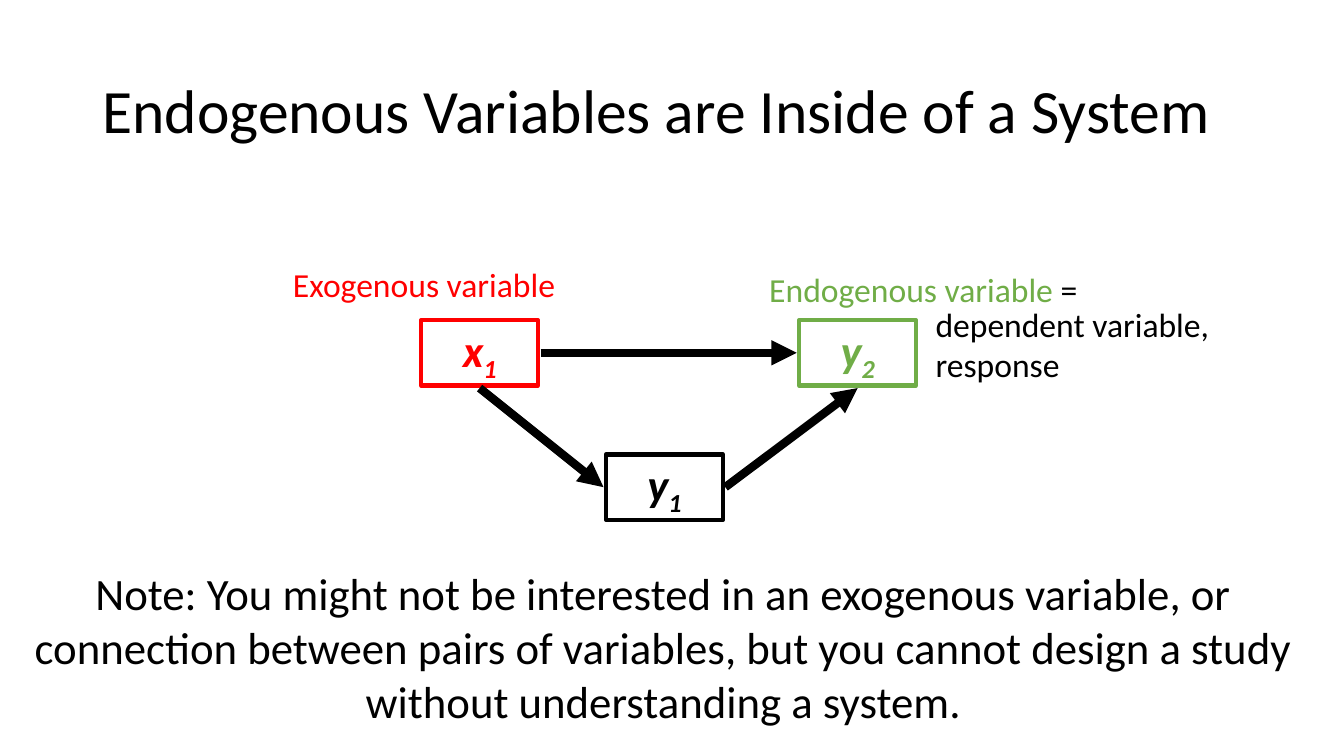
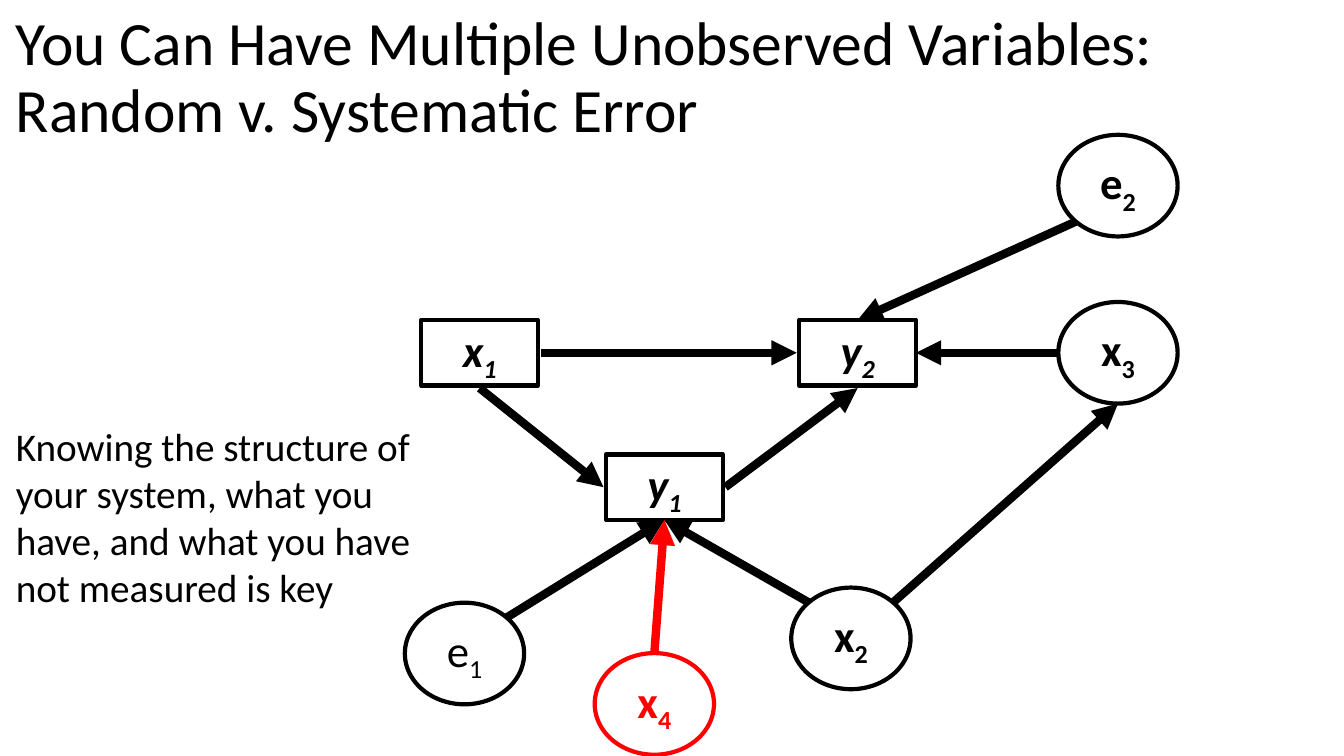
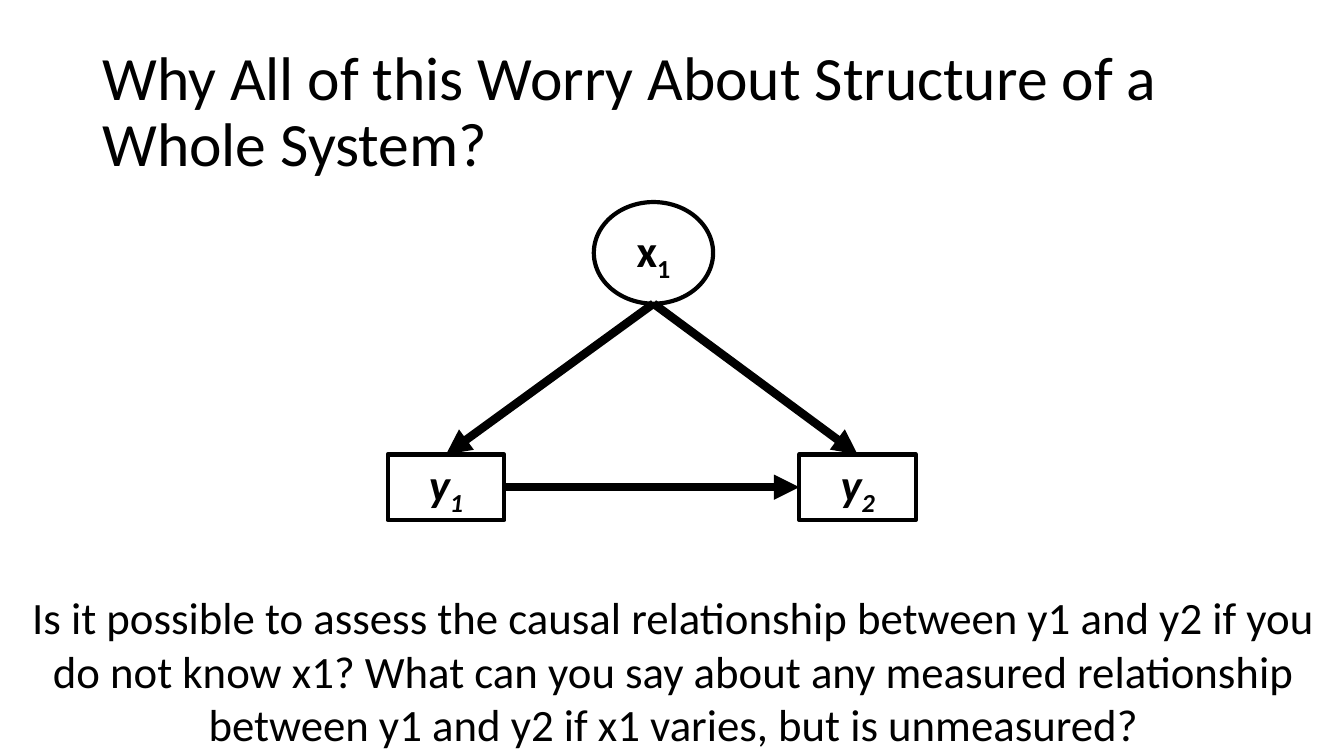
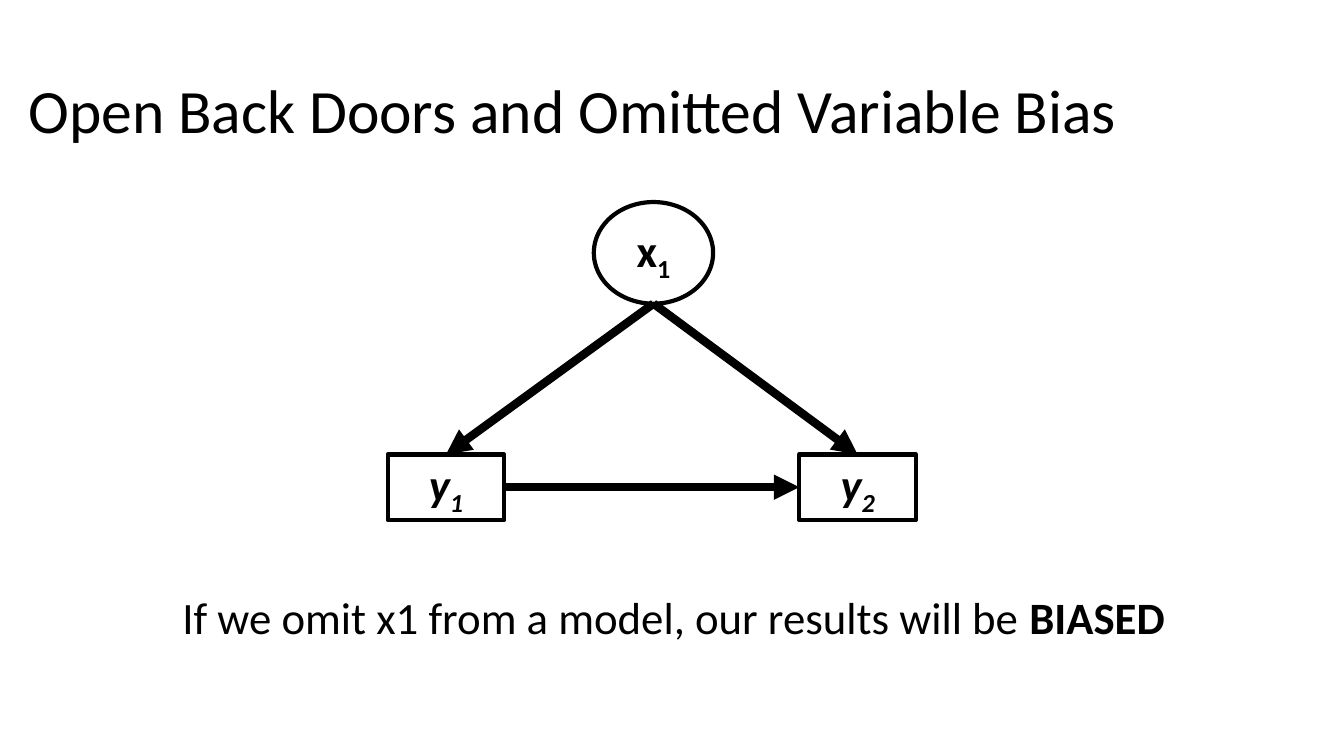
from dataclasses import dataclass

from lxml.etree import SubElement
from pptx import Presentation
from pptx.dml.color import RGBColor
from pptx.enum.shapes import MSO_CONNECTOR, MSO_SHAPE
from pptx.enum.text import MSO_ANCHOR, PP_ALIGN
from pptx.oxml.ns import qn
from pptx.util import Inches, Pt


@dataclass(frozen=True)
class Theme:
    font: str = "Calibri"
    ink: str = "000000"
    paper: str = "FFFFFF"
    red: str = "FF0000"
    green: str = "70AD47"
    title: int = 44
    body: int = 32
    side: int = 28
    label: int = 24
    edge: int = 3
    arrow: int = 6


T = Theme()

# Grid: 160 columns by 90 rows; boxes are left, top, width, height
WIDE, HIGH = 13.333, 7.5
COLS, ROWS = 160, 90
KINDS = {  # preset shape, width, height, italic
    "box": (MSO_SHAPE.RECTANGLE, 13.9, 7.8, True),
    "oval": (MSO_SHAPE.OVAL, 14.2, 12.1, False),
}
DIAG = 0.354  # where a diagonal meets an oval, as a share of its size
PORTS = {
    "left": (-0.5, 0), "right": (0.5, 0), "top": (0, -0.5), "foot": (0, 0.5),
    "nw": (-DIAG, -DIAG), "ne": (DIAG, -DIAG), "sw": (-DIAG, DIAG),
}
HEAD = (11, 4.8, 138, 17.4)
FOOT = (0.4, 69.6, 159.6, 20.4)

# Content: nodes are name -> kind, letter, index, centre column, centre row
PATH = {
    "x1": ("box", "x", "1", 57.1, 42),
    "y1": ("box", "y", "1", 79.1, 58),
    "y2": ("box", "y", "2", 102.1, 42),
}
HIDDEN = {
    "x3": ("oval", "x", "3", 133.1, 42),
    "x2": ("oval", "x", "2", 101.3, 76),
    "e2": ("oval", "e", "2", 133.1, 22.1),
    "e1": ("oval", "e", "1", 55.3, 77.8),
    "x4": ("oval", "x", "4", 77.9, 83.8),
}
FORK = {
    "y1": ("box", "y", "1", 53.1, 58),
    "y2": ("box", "y", "2", 102.1, 58),
    "x1": ("oval", "x", "1", 77.8, 30.1),
}

# Arrows: from node, port, to node, port, gap
PATH_LINKS = [
    ("x1", "foot", "y1", "left", 0.3),
    ("y1", "right", "y2", "foot", 0.3),
    ("x1", "right", "y2", "left", 0.3),
]
HIDDEN_LINKS = [
    ("x3", "left", "y2", "right", 0),
    ("x2", "nw", "y1", "foot", 0),
    ("x2", "ne", "x3", "foot", 0),
    ("e2", "sw", "y2", "top", 0),
    ("e1", "ne", "y1", "foot", 0),
    ("x4", "top", "y1", "foot", 0),
]
FORK_LINKS = [
    ("x1", "foot", "y1", "top", 0),
    ("y1", "right", "y2", "left", 0),
    ("x1", "foot", "y2", "top", 0),
]

# Texts: box, size, centred, paragraphs of (words, format) runs
SLIDES = [
    {
        "title": ("Endogenous Variables are Inside of a System", HEAD),
        "nodes": PATH, "links": PATH_LINKS,
        "tints": {"x1": T.red, "y2": T.green},
        "texts": [
            ((90.4, 31.4, 44.4, 6), T.label, False,
             [[("Endogenous variable ", {"color": T.green}), ("=", {})]]),
            ((33.7, 30.8, 37.9, 6), T.label, False,
             [[("Exogenous variable", {"color": T.red})]]),
            ((110.2, 35.6, 39, 10.9), T.label, False,
             [[("dependent variable,", {})], [("response", {})]]),
            ((0, 66.8, 158, 20.6), T.body, True,
             [[("Note: You might not be interested in an exogenous variable, "
                "or connection between pairs of variables, but you cannot "
                "design a study without understanding a system.", {})]]),
        ],
    },
    {
        "title": ("You Can Have Multiple Unobserved Variables: "
                  "Random v. Systematic Error", (0.7, 0.7, 148.2, 17.4)),
        "nodes": PATH | HIDDEN, "links": PATH_LINKS + HIDDEN_LINKS,
        "tints": {"x4": T.red}, "light": {"e1"},
        "texts": [
            ((0.7, 49.7, 55, 23.9), T.side, False,
             [[("Knowing the structure of your system, what you have, "
                "and what you have not measured is key", {})]]),
        ],
    },
    {
        "title": ("Why All of this Worry About Structure of a Whole System?",
                  HEAD),
        "nodes": FORK, "links": FORK_LINKS,
        "texts": [
            (FOOT, T.body, True,
             [[("Is it possible to assess the causal relationship between y1 "
                "and y2 if you do not know x1? What can you say about any "
                "measured relationship between y1 and y2 if x1 varies, "
                "but is unmeasured?", {})]]),
        ],
    },
    {
        "title": ("Open Back Doors and Omitted Variable Bias",
                  (2.2, 4.8, 157.8, 17.4)),
        "nodes": FORK, "links": FORK_LINKS,
        "texts": [
            (FOOT, T.body, True,
             [[("If we omit x1 from a model, our results will be ", {}),
               ("BIASED", {"bold": True})]]),
        ],
    },
]


def place(*spots):
    """Turn alternating columns and rows into lengths."""
    units = (WIDE / COLS, HIGH / ROWS)
    return [Inches(spot * units[i % 2]) for i, spot in enumerate(spots)]


def write(para, words, size, color=T.ink, sub=False, **look):
    run = para.add_run()
    run.text = words
    for key, value in {"name": T.font, "size": Pt(size), **look}.items():
        setattr(run.font, key, value)
    run.font.color.rgb = RGBColor.from_string(color)
    if sub:
        run._r.get_or_add_rPr().set("baseline", "-25000")


def add_text(slide, box, size, mid, paras, space=None, anchor=MSO_ANCHOR.TOP):
    frame = slide.shapes.add_textbox(*place(*box)).text_frame
    frame.word_wrap = True
    frame.vertical_anchor = anchor
    for i, runs in enumerate(paras):
        para = frame.add_paragraph() if i else frame.paragraphs[0]
        para.alignment = PP_ALIGN.CENTER if mid else PP_ALIGN.LEFT
        para.line_spacing = space
        for words, look in runs:
            write(para, words, size, **look)


def add_node(slide, node, tint, bold):
    kind, letter, index, col, row = node
    form, wide, high, slant = KINDS[kind]
    shape = slide.shapes.add_shape(
        form, *place(col - wide / 2, row - high / 2, wide, high))
    shape.shadow.inherit = False
    if kind == "oval":
        shape.fill.solid()
        shape.fill.fore_color.rgb = RGBColor.from_string(T.paper)
    else:
        shape.fill.background()
    shape.line.color.rgb = RGBColor.from_string(tint)
    shape.line.width = Pt(T.edge)
    frame = shape.text_frame
    frame.vertical_anchor = MSO_ANCHOR.MIDDLE
    para = frame.paragraphs[0]
    para.alignment = PP_ALIGN.CENTER
    for words, sub in ((letter, False), (index, True)):
        write(para, words, T.body, tint, sub, bold=bold, italic=slant)


def port(node, side, gap):
    kind, _, _, col, row = node
    _, wide, high, _ = KINDS[kind]
    across, down = PORTS[side]
    return (col + across * (wide + 2 * gap), row + down * (high + 2 * gap))


def add_link(slide, start, end, tint):
    link = slide.shapes.add_connector(
        MSO_CONNECTOR.STRAIGHT, *place(*start, *end))
    link.line.color.rgb = RGBColor.from_string(tint)
    link.line.width = Pt(T.arrow)
    SubElement(link.line._get_or_add_ln(), qn("a:tailEnd"), type="triangle")
    SubElement(link._element.spPr, qn("a:effectLst"))


def build(deck, data):
    slide = deck.slides.add_slide(deck.slide_layouts[6])
    nodes, tints = data["nodes"], data.get("tints", {})
    # Diagram
    for name, node in nodes.items():
        add_node(slide, node, tints.get(name, T.ink),
                 name not in data.get("light", ()))
    for src, out, dst, into, gap in data["links"]:
        # Only a hidden node passes its colour on to its arrow
        tint = tints.get(src, T.ink) if nodes[src][0] == "oval" else T.ink
        add_link(slide, port(nodes[src], out, gap),
                 port(nodes[dst], into, gap), tint)
    # Title and texts
    words, box = data["title"]
    add_text(slide, box, T.title, False, [[(words, {})]], 0.9,
             MSO_ANCHOR.MIDDLE)
    for text in data["texts"]:
        add_text(slide, *text)


def main():
    deck = Presentation()
    deck.slide_width, deck.slide_height = Inches(WIDE), Inches(HIGH)
    for data in SLIDES:
        build(deck, data)
    deck.save("out.pptx")


if __name__ == "__main__":
    main()
